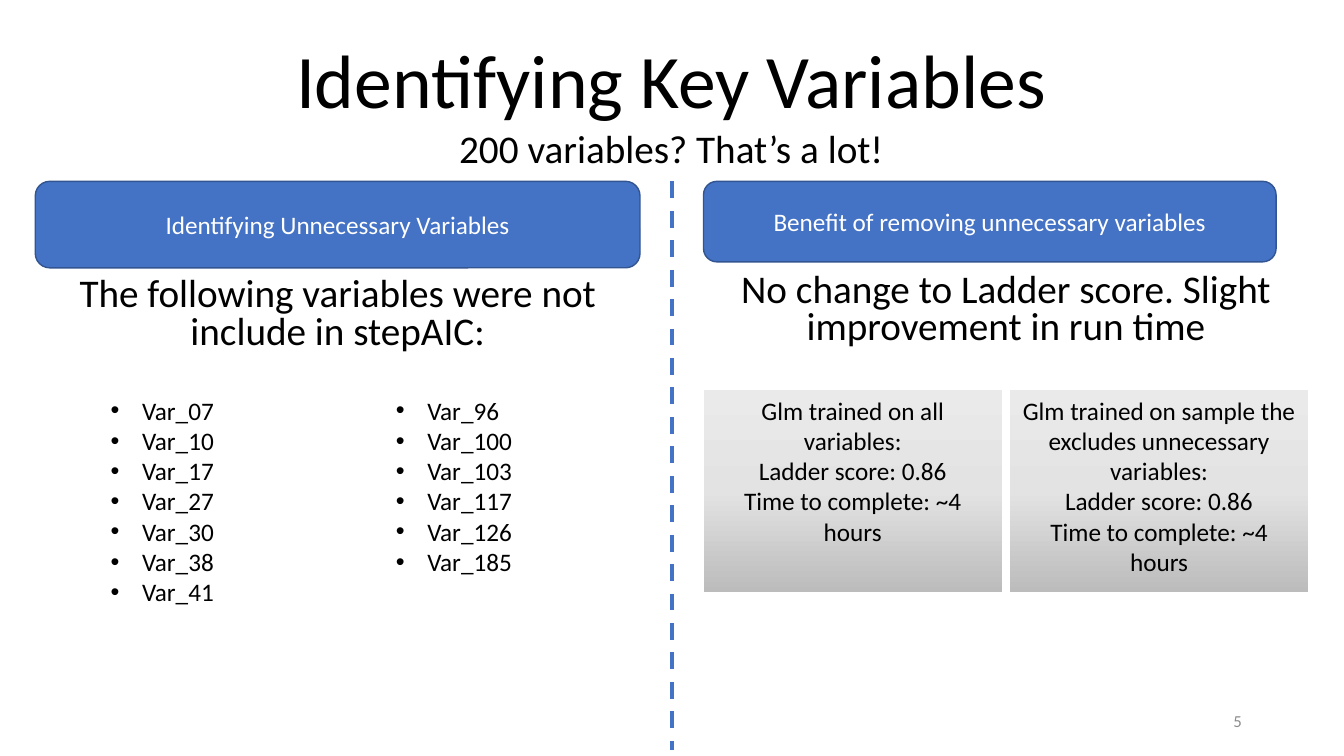
from copy import deepcopy

from lxml import etree
from pptx import Presentation
from pptx.dml.color import RGBColor
from pptx.enum import dml, shapes, text
from pptx.oxml import ns
from pptx.util import Cm, Pt

FONT = "Calibri"
BLACK = RGBColor(0x00, 0x00, 0x00)
WHITE = RGBColor(0xFF, 0xFF, 0xFF)
GREY = RGBColor(0x8C, 0x8C, 0x8C)
BLUE = RGBColor(0x44, 0x72, 0xC4)
DARK_BLUE = RGBColor(0x32, 0x54, 0x91)
CARD_SHADES = [
    (0, RGBColor(0xEB, 0xEA, 0xEA)),
    (0.5, RGBColor(0xE4, 0xE3, 0xE3)),
    (1, RGBColor(0xBD, 0xBC, 0xBC)),
]
CENTER, LEFT, RIGHT = text.PP_ALIGN.CENTER, text.PP_ALIGN.LEFT, text.PP_ALIGN.RIGHT
TOP, MIDDLE = text.MSO_ANCHOR.TOP, text.MSO_ANCHOR.MIDDLE

PANEL_TOP = 4.57
PANEL_WIDTH = 15.24
LEFT_PANEL = 0.89
RIGHT_PANEL = 17.73
MESSAGE_OFFSET = 2.19
DETAIL_OFFSET = 5.26


def write(holder, lines, sizes, color=BLACK, align=CENTER, anchor=TOP):
    frame = holder.text_frame
    frame.word_wrap = True
    frame.vertical_anchor = anchor
    frame.text = "\n".join(lines)
    for paragraph, size in zip(frame.paragraphs, sizes):
        paragraph.alignment = align
        paragraph.font.name = FONT
        paragraph.font.size = Pt(size)
        paragraph.font.color.rgb = color
    return frame.paragraphs


def add_words(slide, box, lines, sizes, **style):
    holder = slide.shapes.add_textbox(*map(Cm, box))
    return write(holder, lines, sizes, **style)


def add_title(slide, box):
    add_words(slide, box, ["Identifying Key Variables", "200 variables? That’s a lot!"], [54, 28])


def add_heading(slide, box, words):
    heading = slide.shapes.add_shape(shapes.MSO_SHAPE.ROUNDED_RECTANGLE, *map(Cm, box))
    heading.shadow.inherit = False
    heading.fill.solid()
    heading.fill.fore_color.rgb = BLUE
    heading.line.color.rgb = DARK_BLUE
    heading.line.width = Pt(1)
    write(heading, [words], [18], WHITE, anchor=MIDDLE)


def add_message(slide, box, words, anchor):
    message = add_words(slide, box, [words], [28], anchor=anchor)[0]
    message.line_spacing = 0.8
    message.space_before = Pt(10)


def add_variable_list(slide, box, numbers):
    names = [f"Var_{number:02d}" for number in numbers]
    indent = Cm(0.79)
    for name in add_words(slide, box, names, [18] * len(names), align=LEFT):
        properties = name._p.get_or_add_pPr()
        properties.set("marL", str(indent))
        properties.set("indent", str(-indent))
        etree.SubElement(properties, ns.qn("a:buFont")).set("typeface", "Arial")
        etree.SubElement(properties, ns.qn("a:buChar")).set("char", "•")


def add_result_card(slide, box, training):
    card = slide.shapes.add_shape(shapes.MSO_SHAPE.RECTANGLE, *map(Cm, box))
    card.shadow.inherit = False
    card.line.fill.background()
    card.fill.gradient()
    card.fill.gradient_angle = 270
    stops = card._element.spPr.find(".//" + ns.qn("a:gsLst"))
    stops.append(deepcopy(stops[-1]))
    for stop, (position, shade) in zip(card.fill.gradient_stops, CARD_SHADES):
        stop.position = position
        stop.color.rgb = shade
    lines = [training, "Ladder score: 0.86", "Time to complete: ~4 hours"]
    write(card, lines, [18] * len(lines))


def add_unnecessary_panel(slide, left, top, width):
    add_heading(slide, (left, top, width, 2.18), "Identifying Unnecessary Variables")
    add_message(slide, (left, top + MESSAGE_OFFSET, width, 2.36),
                "The following variables were not include in stepAIC:", MIDDLE)
    columns = [[7, 10, 17, 27, 30, 38, 41], [96, 100, 103, 117, 126, 185]]
    for index, numbers in enumerate(columns):
        box = (left + 1.65 + 7.19 * index, top + DETAIL_OFFSET, 4.09, 5.64)
        add_variable_list(slide, box, numbers)


def add_benefit_panel(slide, left, top, width):
    add_heading(slide, (left, top, 14.43, 2.03), "Benefit of removing unnecessary variables")
    add_message(slide, (left, top + MESSAGE_OFFSET, width, 2.36),
                "No change to Ladder score. Slight improvement in run time", TOP)
    gap = 0.2
    card_width = (width - gap) / 2
    trainings = ["Glm trained on all variables:",
                 "Glm trained on sample the excludes unnecessary variables:"]
    for index, training in enumerate(trainings):
        box = (left + index * (card_width + gap), top + DETAIL_OFFSET, card_width, 5.08)
        add_result_card(slide, box, training)


def add_divider(slide, x, top, bottom):
    divider = slide.shapes.add_connector(
        shapes.MSO_CONNECTOR.STRAIGHT, Cm(x), Cm(top), Cm(x), Cm(bottom))
    divider.line.color.rgb = BLUE
    divider.line.width = Pt(3)
    divider.line.dash_style = dml.MSO_LINE.DASH
    etree.SubElement(divider._element.spPr, ns.qn("a:effectLst"))


def add_page_number(slide, box):
    add_words(slide, box, ["5"], [12], color=GREY, align=RIGHT, anchor=MIDDLE)


deck = Presentation()
deck.slide_width = Cm(33.87)
deck.slide_height = Cm(19.05)
key_variables = deck.slides.add_slide(deck.slide_layouts[6])
add_title(key_variables, (LEFT_PANEL, 0.71, 32.05, 3.76))
add_unnecessary_panel(key_variables, LEFT_PANEL, PANEL_TOP, PANEL_WIDTH)
add_divider(key_variables, 16.94, PANEL_TOP, 18.9)
add_benefit_panel(key_variables, RIGHT_PANEL, PANEL_TOP, PANEL_WIDTH)
add_page_number(key_variables, (23.93, 17.65, 7.62, 1.02))
deck.save("out.pptx")
